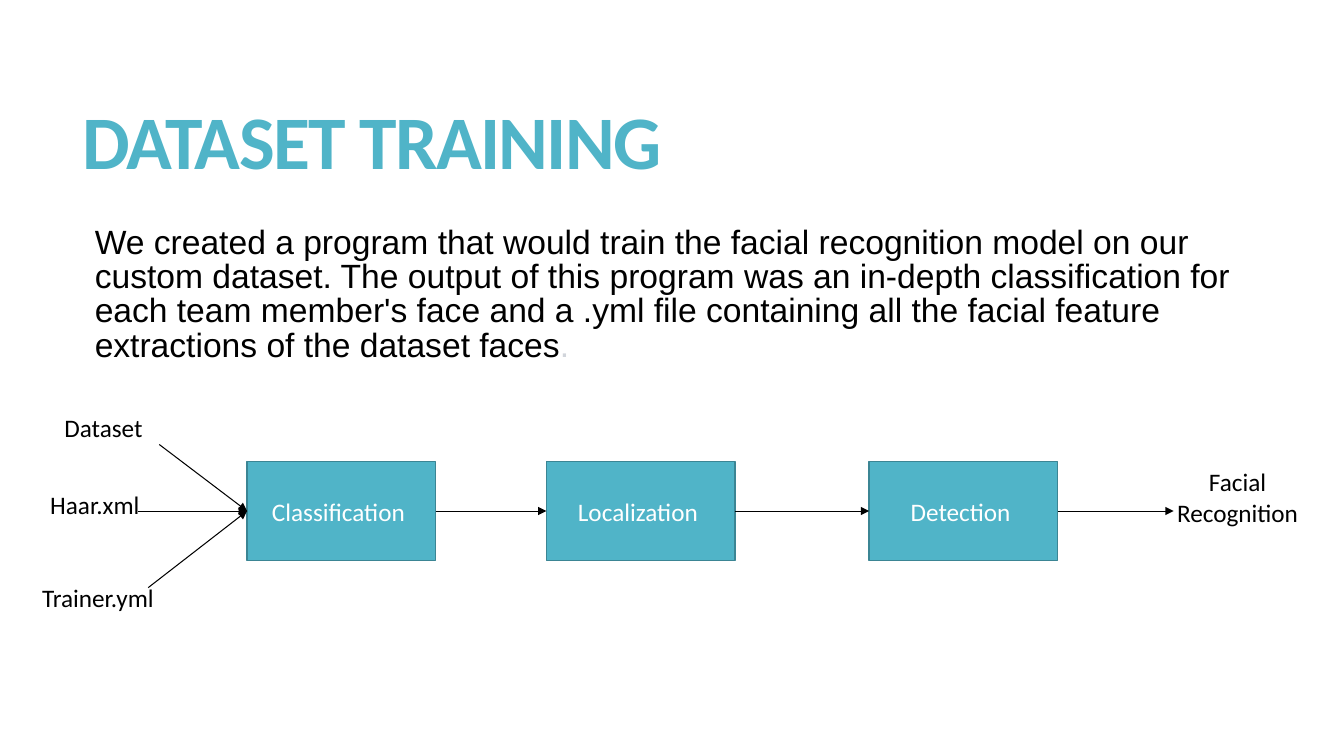
from lxml.etree import SubElement
from pptx import Presentation
from pptx.dml.color import RGBColor
from pptx.enum.shapes import MSO_CONNECTOR, MSO_SHAPE
from pptx.enum.text import MSO_ANCHOR, PP_ALIGN
from pptx.oxml.ns import qn
from pptx.util import Inches, Pt

TEAL = RGBColor(0x50, 0xB4, 0xC8)
DARK_TEAL = RGBColor(0x3B, 0x85, 0x94)
BLACK = RGBColor(0, 0, 0)
WHITE = RGBColor(0xFF, 0xFF, 0xFF)
GREY = RGBColor(0xD1, 0xD5, 0xDB)

TITLE = "DATASET TRAINING"
BODY = ("We created a program that would train the facial recognition model on our "
        "custom dataset. The output of this program was an in-depth classification "
        "for each team member's face and a .yml file containing all the facial "
        "feature extractions of the dataset faces")
STEPS = [("Classification ", 2.45), ("Localization ", 5.42), ("Detection ", 8.62)]
INPUTS = [("Dataset", 0.54, 4.04, 1.58, 4.41),
          ("Haar.xml", 0.40, 4.81, 1.37, 5.07),
          ("Trainer.yml", 0.32, 5.73, 1.47, 5.83)]
OUTPUT = "Facial Recognition"
STEP_TOP, STEP_W, STEP_H = 4.58, 1.87, 0.98
MID_Y = STEP_TOP + STEP_H / 2
OUTPUT_LEFT, OUTPUT_ARROW_END = 11.34, 11.64

prs = Presentation()
prs.slide_width, prs.slide_height = Inches(13.33), Inches(7.5)
s = prs.slides.add_slide(prs.slide_layouts[6])


def add_run(p, text, size, color, font="Calibri"):
    r = p.add_run()
    r.text = text
    r.font.name, r.font.size = font, Pt(size)
    r.font.color.rgb = color
    return r


def add_box(left, top, width, height):
    tf = s.shapes.add_textbox(*map(Inches, (left, top, width, height))).text_frame
    tf.word_wrap = True
    return tf


def add_arrow(x, y, end_x, start=None, end=None):
    c = s.shapes.add_connector(MSO_CONNECTOR.STRAIGHT, Inches(x), Inches(y),
                               Inches(end_x), Inches(MID_Y))
    if start is not None:
        c.begin_connect(start, 3)
    if end is not None:
        c.end_connect(end, 1)
    c.line.color.rgb = BLACK
    c.line.width = Pt(0.75)
    SubElement(c.line._get_or_add_ln(), qn("a:tailEnd"), type="triangle")
    SubElement(c._element.spPr, qn("a:effectLst"))


tf = add_box(0.72, 0.55, 11.78, 1.81)
tf.vertical_anchor = MSO_ANCHOR.MIDDLE
p = tf.paragraphs[0]
p.line_spacing = 0.85
r = add_run(p, TITLE, 54, TEAL)
r.font.bold = True
r._r.get_or_add_rPr().set("spc", "-120")

tf = add_box(0.74, 2.2, 11.76, 4.12)
tf.margin_left = Inches(0.2)
p = tf.paragraphs[0]
p.line_spacing = 0.85
add_run(p, BODY, 24, BLACK, "Arial")
add_run(p, ".", 24, GREY, "Arial")

steps = []
for text, left in STEPS:
    sp = s.shapes.add_shape(MSO_SHAPE.RECTANGLE, Inches(left), Inches(STEP_TOP),
                            Inches(STEP_W), Inches(STEP_H))
    sp.shadow.inherit = False
    sp.fill.solid()
    sp.fill.fore_color.rgb = TEAL
    sp.line.color.rgb = DARK_TEAL
    sp.line.width = Pt(1)
    sp.text_frame.vertical_anchor = MSO_ANCHOR.MIDDLE
    p = sp.text_frame.paragraphs[0]
    p.alignment = PP_ALIGN.CENTER
    add_run(p, text, 18, WHITE)
    steps.append(sp)

for text, left, top, x, y in INPUTS:
    add_run(add_box(left, top, 1.47, 0.4).paragraphs[0], text, 18, BLACK)
    add_arrow(x, y, STEPS[0][1], end=steps[0])

ends = [left for _, left in STEPS[1:]] + [OUTPUT_ARROW_END]
for (_, left), start, end_x, end in zip(STEPS, steps, ends, steps[1:] + [None]):
    add_arrow(left + STEP_W, MID_Y, end_x, start, end)

p = add_box(OUTPUT_LEFT, STEP_TOP, STEP_W, 0.71).paragraphs[0]
p.alignment = PP_ALIGN.CENTER
add_run(p, OUTPUT, 18, BLACK)

prs.save("out.pptx")
